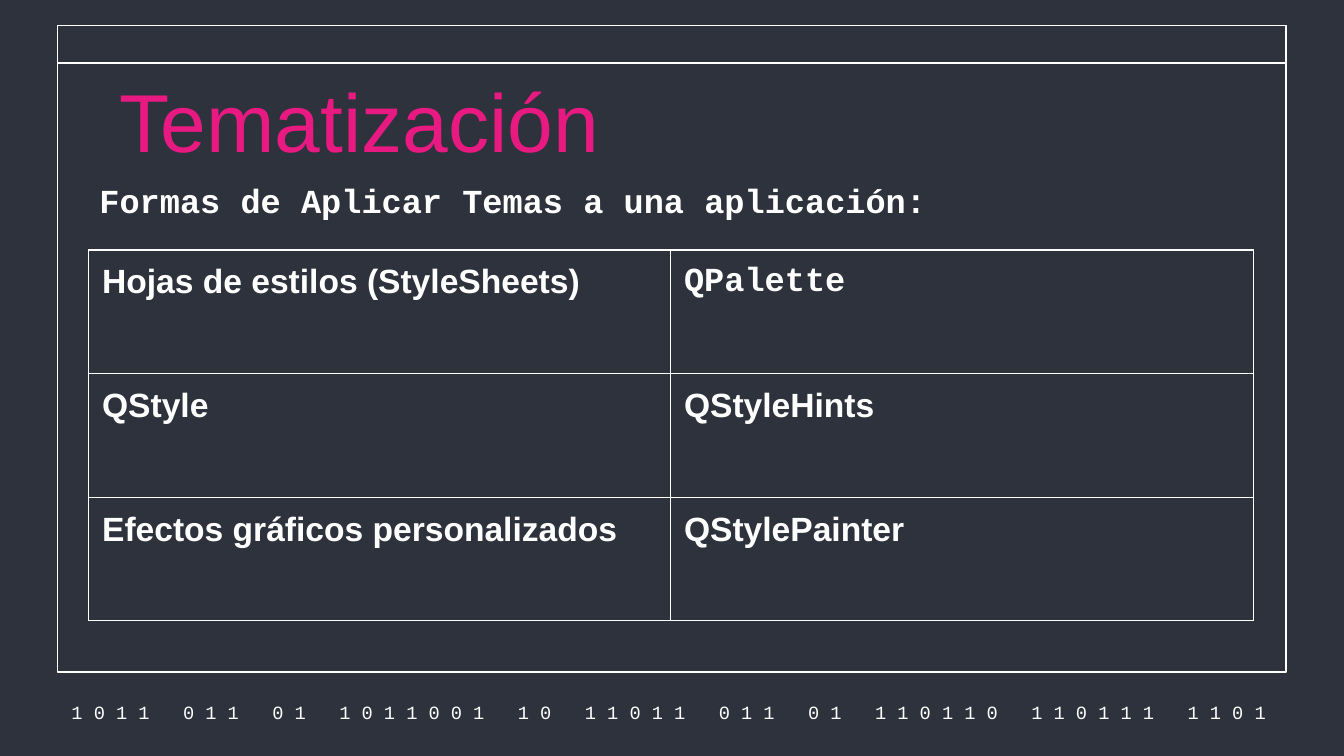
from pptx import Presentation
from pptx.dml.color import RGBColor
from pptx.enum.shapes import MSO_SHAPE
from pptx.enum.text import MSO_ANCHOR, MSO_AUTO_SIZE, PP_ALIGN
from pptx.oxml import parse_xml
from pptx.oxml.ns import nsdecls
from pptx.util import Inches, Pt

NAVY = RGBColor(0x2D, 0x32, 0x3C)
WHITE = RGBColor(0xFF, 0xFF, 0xFF)
PINK = RGBColor(0xE8, 0x19, 0x81)
SANS, MONO = "Arial", "Courier New"

TITLE = "Tematización"
SUBTITLE = "Formas de Aplicar Temas a una aplicación:"
BINARY_GROUPS = "1011 011 01 1011001 10 11011 011 01 110110 110111 1101".split()
THEME_OPTIONS = [
    [("Hojas de estilos (StyleSheets)", SANS), ("QPalette", MONO)],
    [("QStyle", SANS), ("QStyleHints", SANS)],
    [("Efectos gráficos personalizados", SANS), ("QStylePainter", SANS)],
]
SLIDE_WIDTH = 10
SLIDE_HEIGHT = SLIDE_WIDTH * 9 / 16
FRAME_LEFT, FRAME_TOP, FRAME_WIDTH = 0.43, 0.19, 9.14
FRAME_HEIGHTS = (4.81, 0.28)
TITLE_BOX = (0.79, 0.42, 8.43, 0.63)
SUBTITLE_BOX = (0.47, 1.24, 8.43, 0.42)
BINARY_BOX = (0.38, 5.2, 9.27, 0.2)
TABLE_BOX = (0.66, 1.86, 8.67, 2.76)
COLUMN_WIDTHS = (4.33, 4.34)
INSET, INDENT = 0.1, 0.17


def set_margins(target):
    """Give a cell or text frame equal insets."""
    target.margin_left = target.margin_right = Inches(INSET)
    target.margin_top = target.margin_bottom = Inches(INSET)


def write(text_frame, text, size, font_name, color=WHITE, bold=False):
    """Write one formatted paragraph and return it."""
    text_frame.text = text
    text_frame.word_wrap = True
    paragraph = text_frame.paragraphs[0]
    for run in paragraph.runs:
        run.font.size = Pt(size)
        run.font.name = font_name
        run.font.color.rgb = color
        run.font.bold = bold
    return paragraph


def add_text_frame(slide, box, anchor):
    """Add a text box and return its text frame."""
    text_frame = slide.shapes.add_textbox(*map(Inches, box)).text_frame
    set_margins(text_frame)
    text_frame.vertical_anchor = anchor
    return text_frame


def add_frame(slide, height):
    """Add an outlined rectangle of the window frame."""
    box = (FRAME_LEFT, FRAME_TOP, FRAME_WIDTH, height)
    frame = slide.shapes.add_shape(MSO_SHAPE.RECTANGLE, *map(Inches, box))
    frame.shadow.inherit = False
    frame.fill.solid()
    frame.fill.fore_color.rgb = NAVY
    frame.line.color.rgb = WHITE
    frame.line.width = Pt(0.75)


def place_title(title):
    """Move the title in front of the frame and format it."""
    title.element.getparent().append(title.element)
    title.left, title.top, title.width, title.height = map(Inches, TITLE_BOX)
    text_frame = title.text_frame
    set_margins(text_frame)
    text_frame.auto_size = MSO_AUTO_SIZE.NONE
    text_frame.vertical_anchor = MSO_ANCHOR.TOP
    write(text_frame, TITLE, 44, SANS, PINK).alignment = PP_ALIGN.LEFT


def add_borders(cell):
    """Draw a thin white line on each side of a cell."""
    properties = cell._tc.get_or_add_tcPr()
    for position, side in enumerate(("lnL", "lnR", "lnT", "lnB")):
        properties.insert(position, parse_xml(
            f'<a:{side} {nsdecls("a")} w="{Pt(0.75)}"><a:solidFill>'
            f'<a:srgbClr val="{WHITE}"/></a:solidFill></a:{side}>'))


def add_options_table(slide):
    """Add the table of theming options."""
    row_count, column_count = len(THEME_OPTIONS), len(COLUMN_WIDTHS)
    table = slide.shapes.add_table(row_count, column_count, *map(Inches, TABLE_BOX)).table
    table.first_row = table.horz_banding = False
    for table_column, width in zip(table.columns, COLUMN_WIDTHS):
        table_column.width = Inches(width)
    for row, options in enumerate(THEME_OPTIONS):
        for column, (text, font_name) in enumerate(options):
            cell = table.cell(row, column)
            set_margins(cell)
            cell.fill.background()
            add_borders(cell)
            paragraph = write(cell.text_frame, text, 18, font_name, WHITE, True)
            paragraph.space_after = Pt(16 * column)


def main():
    """Build and save the slide."""
    presentation = Presentation()
    presentation.slide_width = Inches(SLIDE_WIDTH)
    presentation.slide_height = Inches(SLIDE_HEIGHT)
    slide = presentation.slides.add_slide(presentation.slide_layouts[5])
    slide.background.fill.solid()
    slide.background.fill.fore_color.rgb = NAVY

    for height in FRAME_HEIGHTS:
        add_frame(slide, height)
    binary = "   ".join(" ".join(group) for group in BINARY_GROUPS) + " "
    binary_frame = add_text_frame(slide, BINARY_BOX, MSO_ANCHOR.MIDDLE)
    write(binary_frame, binary, 10, MONO).alignment = PP_ALIGN.CENTER
    place_title(slide.shapes.title)
    add_options_table(slide)
    subtitle_frame = add_text_frame(slide, SUBTITLE_BOX, MSO_ANCHOR.TOP)
    subtitle_frame.margin_left = Inches(INSET + INDENT)
    write(subtitle_frame, SUBTITLE, 18, MONO, WHITE, True)
    presentation.save("out.pptx")


if __name__ == "__main__":
    main()
